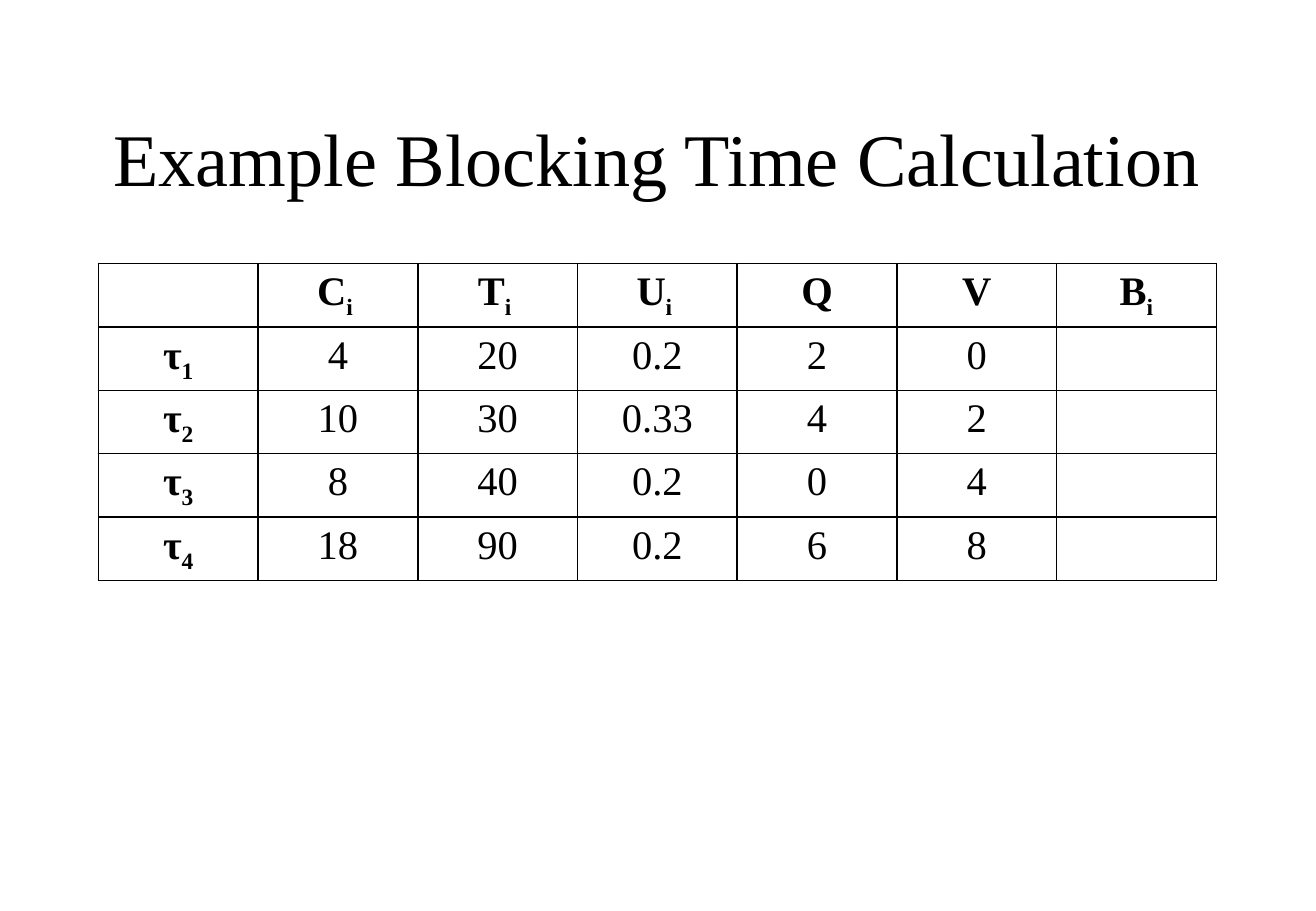
from lxml.etree import SubElement
from pptx import Presentation
from pptx.dml.color import RGBColor
from pptx.enum.text import MSO_ANCHOR, PP_ALIGN
from pptx.oxml.ns import qn
from pptx.util import Inches, Pt

BLACK = RGBColor(0, 0, 0)
FONT = "Times New Roman"
LEFT, WIDTH = 0.81, 9.2
HEAD = ["", "C_i ", "T_i ", "U_i ", "Q", "V", "B_i"]
TASKS = [
    ["τ_1", "4", "20", "0.2", "2", "0", ""],
    ["τ_2", "10", "30", "0.33", "4", "2", ""],
    ["τ_3", "8", "40", "0.2", "0", "4", ""],
    ["τ_4", "18", "90", "0.2", "6", "8", ""],
]


class Deck:
    def __init__(self, width, height):
        self.prs = Presentation()
        self.prs.slide_width = Inches(width)
        self.prs.slide_height = Inches(height)
        self.slide = self.prs.slides.add_slide(self.prs.slide_layouts[5])

    def run(self, para, text, size, bold=False, base=0):
        run = para.add_run()
        run.text = text
        font = run.font
        font.name, font.size, font.bold = FONT, Pt(size), bold
        font.color.rgb = BLACK
        if base:
            run._r.get_or_add_rPr().set("baseline", str(base * 1000))

    def title(self, text, left, top, width, height):
        shape = self.slide.shapes.title
        shape.left, shape.top = Inches(left), Inches(top)
        shape.width, shape.height = Inches(width), Inches(height)
        frame = shape.text_frame
        frame.word_wrap = True
        frame.vertical_anchor = MSO_ANCHOR.MIDDLE
        para = frame.paragraphs[0]
        para.alignment = PP_ALIGN.CENTER
        self.run(para, text, 44)

    def border(self, cell):
        props = cell._tc.get_or_add_tcPr()
        for side in ("lnL", "lnR", "lnT", "lnB"):
            line = SubElement(props, qn(f"a:{side}"), w=str(Pt(1)))
            fill = SubElement(line, qn("a:solidFill"))
            SubElement(fill, qn("a:srgbClr"), val=str(BLACK))

    def cell(self, cell, text, bold):
        self.border(cell)
        cell.fill.background()
        para = cell.text_frame.paragraphs[0]
        para.alignment = PP_ALIGN.CENTER
        main, _, sub = text.partition("_")
        if main:
            self.run(para, main, 24, bold)
        if sub:
            self.run(para, sub, 24, bold, -25)

    def table(self, rows, left, top, width, height):
        frame = self.slide.shapes.add_table(
            len(rows), len(rows[0]),
            Inches(left), Inches(top), Inches(width), Inches(height))
        table = frame.table
        table.horz_banding = False
        for r, row in enumerate(rows):
            for c, text in enumerate(row):
                self.cell(table.cell(r, c), text, r == 0 or c == 0)


def main():
    deck = Deck(10.83, 7.5)
    deck.title("Example Blocking Time Calculation", LEFT, 0.67, WIDTH, 1.25)
    deck.table([HEAD] + TASKS, LEFT, 2.17, WIDTH, 2.03)
    deck.prs.save("out.pptx")


if __name__ == "__main__":
    main()
